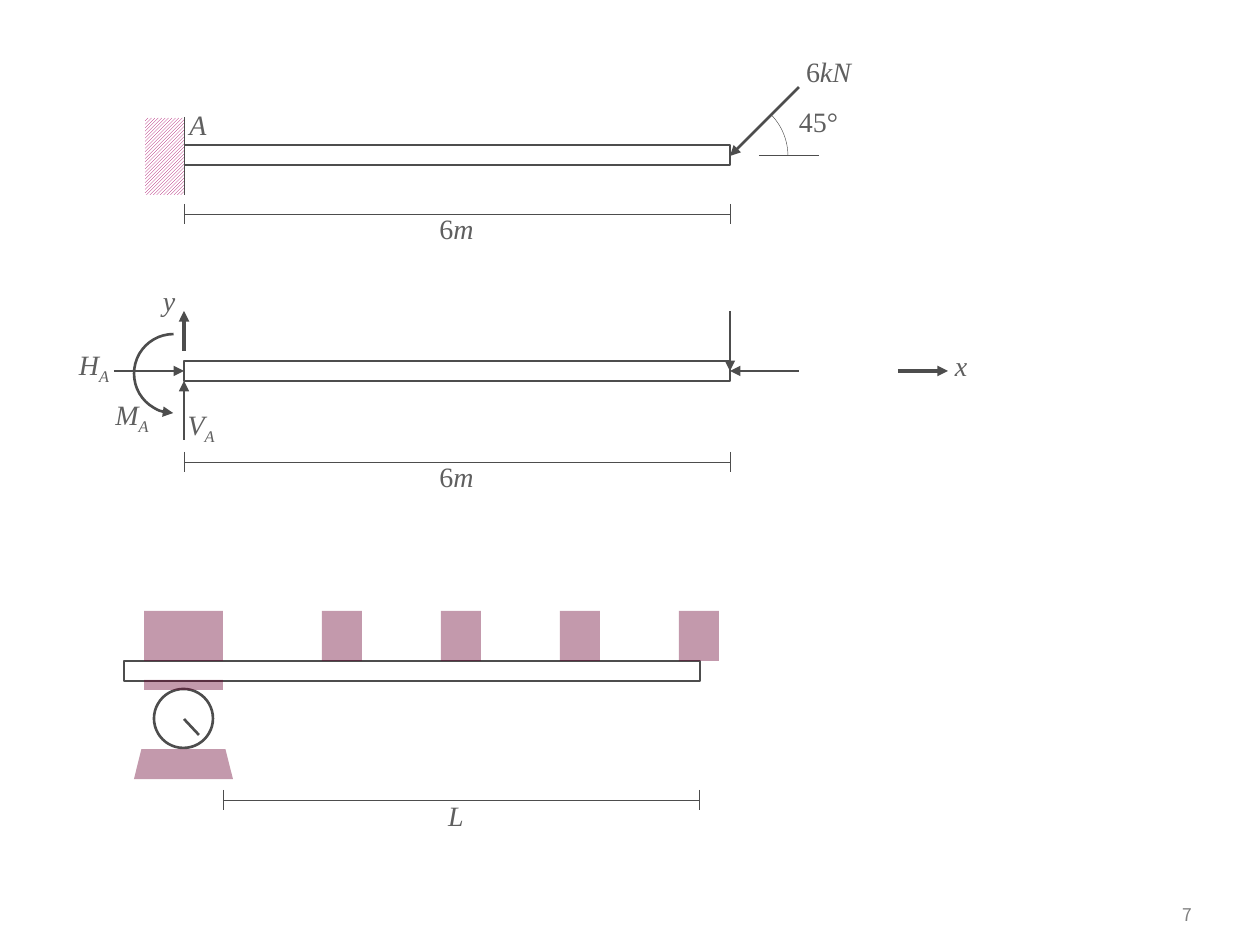
from lxml import etree
from pptx import Presentation
from pptx import util as u
from pptx.dml.color import RGBColor
from pptx.enum import dml, shapes, text
from pptx.oxml.ns import qn

PX = 914400 / 126
COLORS = {
    "line": "4D4D4D",
    "label": "5F5F5F",
    "number": "808080",
    "hatch": "A90165",
    "block": "6B0131",
    "white": "FFFFFF",
}
COLORS = {name: RGBColor.from_string(code) for name, code in COLORS.items()}

deck = Presentation()
deck.slide_width = u.Inches(10)
deck.slide_height = u.Inches(7.5)
page = deck.slides.add_slide(deck.slide_layouts[6])


def add_label(upright, at, italic="", sub="", size=16, font="Times New Roman",
              color="label", align=text.PP_ALIGN.CENTER,
              anchor=text.MSO_ANCHOR.TOP, margins=(0, 0), wrap=False):
    box = page.shapes.add_textbox(*[round(v * PX) for v in at])
    frame = box.text_frame
    frame.word_wrap = wrap
    frame.vertical_anchor = anchor
    frame.margin_left = frame.margin_right = round(margins[0] * PX)
    frame.margin_top = frame.margin_bottom = round(margins[1] * PX)
    para = frame.paragraphs[0]
    para.alignment = align
    for words, slanted, baseline in ((upright, False, 0), (italic, True, 0), (sub, True, -25000)):
        if words:
            span = para.add_run()
            span.text = words
            span.font.name = font
            span.font.size = u.Pt(size)
            span.font.italic = slanted
            span.font.color.rgb = COLORS[color]
            if baseline:
                span.font._element.set("baseline", str(baseline))


def add_line(start, end, width=0.25, arrow=False):
    ends = [round(v * PX) for v in (*start, *end)]
    line = page.shapes.add_connector(shapes.MSO_CONNECTOR.STRAIGHT, *ends)
    line.line.color.rgb = COLORS["line"]
    line.line.width = u.Pt(width)
    if arrow:
        etree.SubElement(line.line._get_or_add_ln(), qn("a:tailEnd"), type="triangle")
    etree.SubElement(line._element.spPr, qn("a:effectLst"))


kind = shapes.MSO_SHAPE
parts = [
    (kind.RECTANGLE, (184, 145, 546, 20), None, 0.75),
    (kind.RECTANGLE, (184, 361, 546, 20), None, 0.75),
    (kind.RECTANGLE, (124, 661, 576, 20), None, 0.75),
    (kind.OVAL, (154, 689, 59, 59), "white", 1.5),
    (kind.TRAPEZOID, (134, 749, 99, 30), "block", None),
    (kind.RECTANGLE, (144, 680, 79, 10), "block", None),
    (kind.RECTANGLE, (144, 611, 79, 50), "block", None),
]
parts += [(kind.RECTANGLE, (322 + 119 * i, 611, 40, 50), "block", None) for i in range(4)]
parts += [
    (kind.RECTANGLE, (126, 137, 77, 39), "hatch", None),
    (kind.ARC, (670, 97, 118, 118), None, 0.25),
    (kind.ARC, (134, 334, 79, 79), None, 1.5),
]
drawn = []
for preset, at, fill, width in parts:
    shape = page.shapes.add_shape(preset, *[round(v * PX) for v in at])
    shape.shadow.inherit = False
    if fill is None:
        shape.fill.background()
    elif fill == "hatch":
        shape.fill.patterned()
        shape.fill.pattern = dml.MSO_PATTERN.LIGHT_UPWARD_DIAGONAL
        shape.fill.fore_color.rgb = COLORS["hatch"]
        shape.fill.back_color.rgb = COLORS["white"]
    else:
        shape.fill.solid()
        shape.fill.fore_color.rgb = COLORS[fill]
        color = shape._element.spPr.find(qn("a:solidFill")).find(qn("a:srgbClr"))
        etree.SubElement(color, qn("a:alpha"), val="40000")
    if width is None:
        shape.line.fill.background()
    else:
        shape.line.color.rgb = COLORS["line"]
        shape.line.width = u.Pt(width)
    drawn.append(shape)

wall, angle, moment = drawn[-3:]
wall.rotation = 90
angle.adjustments[0] = 189.01
angle.adjustments[1] = 0
moment.adjustments[0] = 162
moment.adjustments[1] = 53.72
moment.rotation = 180
moment._element.spPr.xfrm.set("flipV", "1")
etree.SubElement(moment.line._get_or_add_ln(), qn("a:tailEnd"), type="triangle")

for left, right, y in ((184, 730, 214), (184, 730, 462), (223, 699, 800)):
    add_line((left, y), (right, y))
    for x in (left, right):
        add_line((x, y - 10), (x, y + 10))

add_line((184, 117), (184, 195))
add_line((759, 155), (819, 155))
add_line((184, 719), (199, 735), width=1.5)
for start, end in (
    ((799, 87), (730, 156)),
    ((184, 440), (184, 381)),
    ((114, 371), (184, 371)),
    ((799, 371), (730, 371)),
    ((730, 311), (730, 371)),
):
    add_line(start, end, width=1.5, arrow=True)
for start, end in (((184, 351), (184, 311)), ((898, 371), (948, 371))):
    add_line(start, end, width=0, arrow=True)

add_label("", (183, 108, 30, 37), italic="A")
add_label("6", (799, 55, 59, 37), italic="kN")
add_label("45°", (789, 105, 59, 37))
for top in (212, 460):
    add_label("6", (422, top, 69, 38), italic="m")
add_label("", (179, 408, 44, 35), italic="V", sub="A")
add_label("", (69, 348, 50, 35), italic="H", sub="A")
add_label("", (110, 398, 44, 35), italic="M", sub="A")
add_label("", (946, 349, 30, 38), italic="x")
add_label("", (154, 284, 30, 39), italic="y")
add_label("", (441, 799, 30, 34), italic="L")
add_label("7", (1116, 893, 89, 42), size=10, font="Noto Sans CJK KR", color="number",
          align=text.PP_ALIGN.RIGHT, anchor=text.MSO_ANCHOR.MIDDLE,
          margins=(13, 6), wrap=True)

deck.save("out.pptx")
